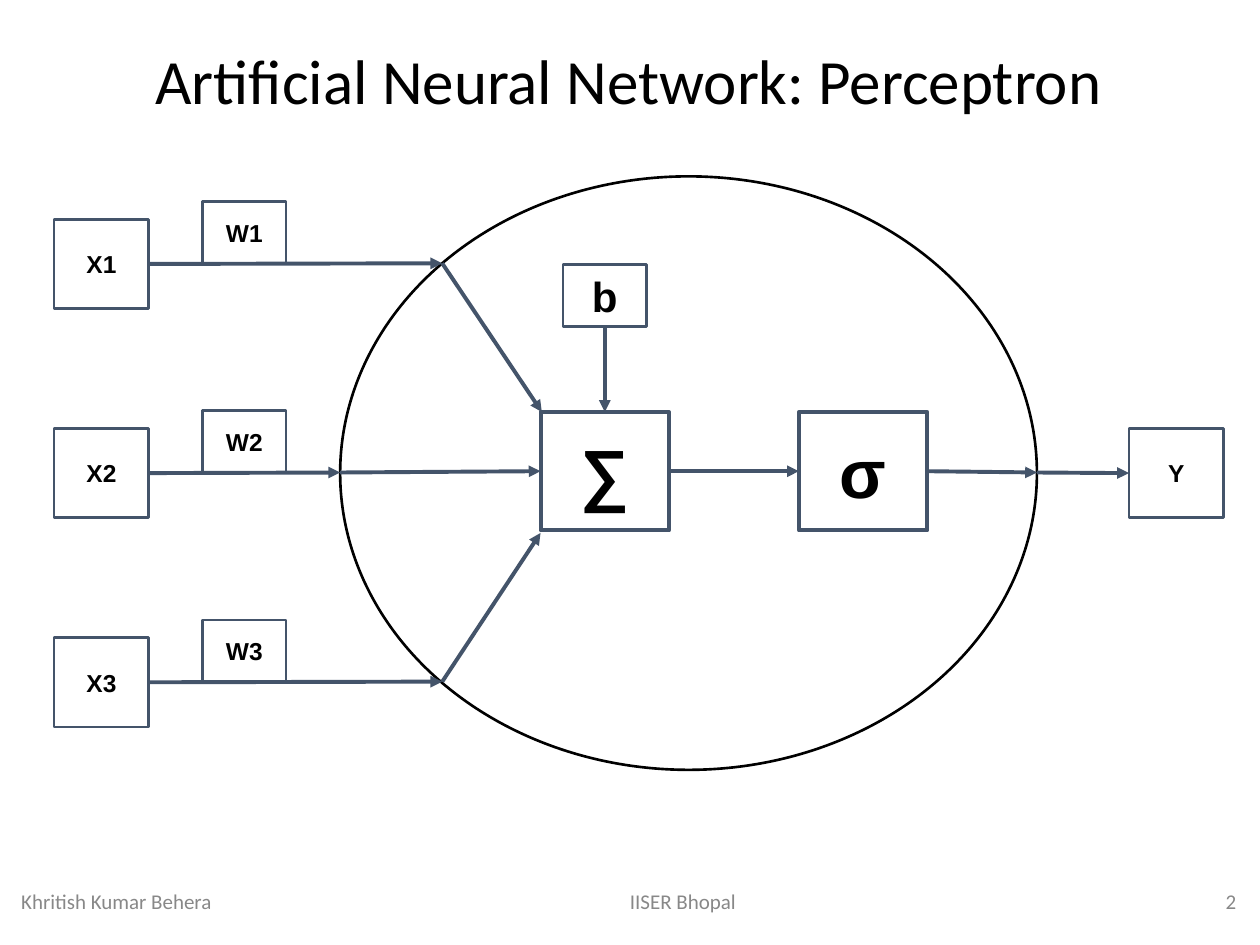
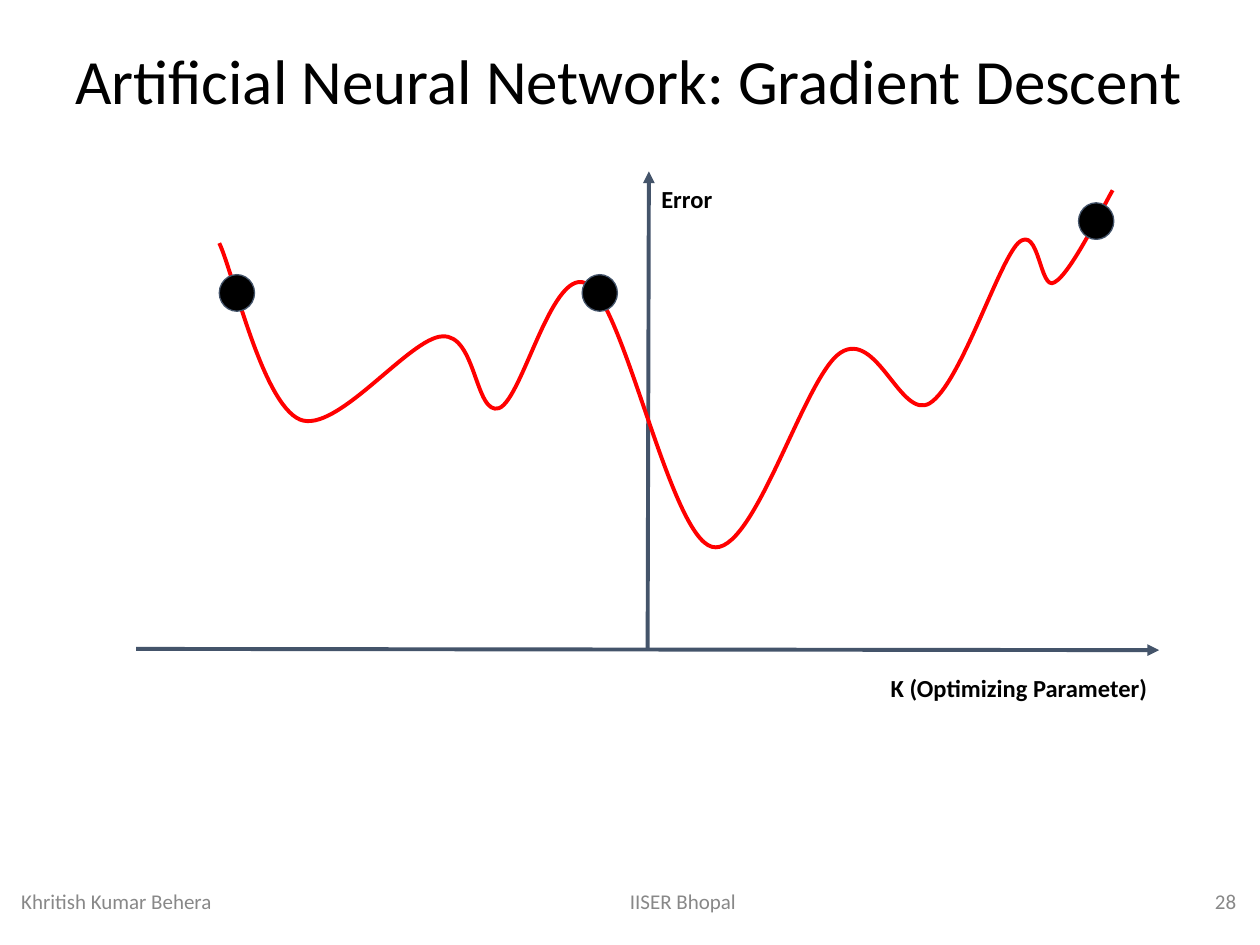
from dataclasses import dataclass

from lxml.etree import SubElement
from pptx import Presentation
from pptx.dml.color import RGBColor
from pptx.enum.shapes import MSO_CONNECTOR, MSO_SHAPE
from pptx.enum.text import MSO_ANCHOR, MSO_AUTO_SIZE, PP_ALIGN
from pptx.oxml.ns import qn
from pptx.util import Inches, Pt


@dataclass(frozen=True)
class Theme:
    black: RGBColor = RGBColor(0x00, 0x00, 0x00)
    white: RGBColor = RGBColor(0xFF, 0xFF, 0xFF)
    slate: RGBColor = RGBColor(0x44, 0x54, 0x6A)
    gray: RGBColor = RGBColor(0x88, 0x88, 0x88)
    red: RGBColor = RGBColor(0xFF, 0x00, 0x00)
    slide_font: str = "Calibri"
    diagram_font: str = "Arial"
    title_size: int = 36
    symbol_size: int = 39
    bias_size: int = 24
    label_size: int = 14
    footer_size: int = 12
    hairline: float = 0.75
    thin: float = 1.5
    thick: float = 2.25


theme = Theme()


def write_text(shape, text, size, font=theme.slide_font, color=theme.black, bold=False,
               align=PP_ALIGN.CENTER, anchor=MSO_ANCHOR.MIDDLE, margin=0.1, wrap=True):
    frame = shape.text_frame
    frame.auto_size = MSO_AUTO_SIZE.NONE
    frame.word_wrap = wrap
    frame.vertical_anchor = anchor
    frame.margin_left = frame.margin_right = Inches(0.1)
    frame.margin_top = frame.margin_bottom = Inches(margin)
    paragraph = frame.paragraphs[0]
    paragraph.alignment = align
    run = paragraph.add_run()
    run.text = text
    run.font.name = font
    run.font.size = Pt(size)
    run.font.bold = bold
    run.font.color.rgb = color


def draw_arrow(slide, start, end):
    """Each end is an (x, y) point in inches or a (shape, side) joint."""
    points = [end_point if isinstance(end_point[0], (int, float)) else (0, 0)
              for end_point in (start, end)]
    connector = slide.shapes.add_connector(
        MSO_CONNECTOR.STRAIGHT, *[Inches(value) for point in points for value in point])
    if points[0] != start:
        connector.begin_connect(*start)
    if points[1] != end:
        connector.end_connect(*end)
    connector.line.color.rgb = theme.slate
    connector.line.width = Pt(theme.thick)
    SubElement(connector.line._get_or_add_ln(), qn("a:tailEnd"), type="triangle")
    SubElement(connector._element.spPr, qn("a:effectLst"))


presentation = Presentation()
presentation.slide_width = Inches(10)
presentation.slide_height = Inches(7.5)

# Titles and footers shared by both slides
slides = []
for topic, number in (("Perceptron", "2"), ("Gradient Descent", "28")):
    slide = presentation.slides.add_slide(presentation.slide_layouts[5])
    slides.append(slide)
    title = slide.shapes.title
    title.left, title.top, title.width, title.height = map(Inches, (0.07, 0.28, 9.84, 0.71))
    write_text(title, f"Artificial Neural Network: {topic}", theme.title_size,
               anchor=MSO_ANCHOR.TOP, margin=0.05)
    for text, left, width, align in (
        ("Khritish Kumar Behera", 0.07, 3.38, PP_ALIGN.LEFT),
        ("IISER Bhopal", 3.73, 3.38, PP_ALIGN.CENTER),
        (number, 7.66, 2.25, PP_ALIGN.RIGHT),
    ):
        footer = slide.shapes.add_textbox(
            Inches(left), Inches(6.95), Inches(width), Inches(0.4))
        write_text(footer, text, theme.footer_size, color=theme.gray, align=align, margin=0.05)
perceptron_slide, descent_slide = slides

# Perceptron: neuron body
neuron = perceptron_slide.shapes.add_shape(
    MSO_SHAPE.OVAL, Inches(2.7), Inches(1.4), Inches(5.53), Inches(4.71))
neuron.shadow.inherit = False
neuron.fill.solid()
neuron.fill.fore_color.rgb = theme.white
neuron.line.color.rgb = theme.black
neuron.line.width = Pt(theme.thin)

# Perceptron: boxes, as left, top, width, height, text size, line width
row_centers = [2.09 + 1.66 * row for row in range(3)]
terminal = (0.75, 0.71, theme.label_size, theme.thin)
operator = (1.02, 0.94, theme.symbol_size, theme.thick)
box_layout = {
    "∑": (4.29, 3.27, *operator),
    "σ": (6.34, 3.27, *operator),
    "b": (4.47, 2.1, 0.66, 0.49, theme.bias_size, theme.thin),
    "Y": (8.96, 3.4, *terminal),
}
for row, center in enumerate(row_centers, start=1):
    box_layout[f"X{row}"] = (0.43, center - 0.35, *terminal)
    box_layout[f"W{row}"] = (1.61, center - 0.49, 0.66, 0.49, theme.label_size, theme.thin)

boxes = {}
for text, (left, top, width, height, size, line_width) in box_layout.items():
    box = perceptron_slide.shapes.add_shape(
        MSO_SHAPE.RECTANGLE, Inches(left), Inches(top), Inches(width), Inches(height))
    box.shadow.inherit = False
    box.fill.background()
    box.line.color.rgb = theme.slate
    box.line.width = Pt(line_width)
    write_text(box, text, size, font=theme.diagram_font, bold=True)
    boxes[text] = box

# Perceptron: signal flow through the neuron's edge to the output
TOP, LEFT, BOTTOM, RIGHT = range(4)
entries = list(zip((3.51, 2.7, 3.51), row_centers))
sum_targets = [(4.3, 3.27), (boxes["∑"], LEFT), (4.29, 4.23)]
for row, (entry, target) in enumerate(zip(entries, sum_targets), start=1):
    draw_arrow(perceptron_slide, (boxes[f"X{row}"], RIGHT), entry)
    draw_arrow(perceptron_slide, entry, target)
neuron_exit = (8.23, 3.75)
for start, end in (
    ((boxes["b"], BOTTOM), (boxes["∑"], TOP)),
    ((boxes["∑"], RIGHT), (boxes["σ"], LEFT)),
    ((boxes["σ"], RIGHT), neuron_exit),
    (neuron_exit, (boxes["Y"], LEFT)),
):
    draw_arrow(perceptron_slide, start, end)

# Gradient descent: axes and their labels
draw_arrow(descent_slide, (1.08, 5.15), (9.2, 5.16))
draw_arrow(descent_slide, (5.14, 5.15), (5.15, 1.36))
for text, left, top, width in (
    ("Error", 5.15, 1.36, 0.65),
    ("K (Optimizing Parameter)", 6.97, 5.24, 2.25),
):
    label = descent_slide.shapes.add_textbox(
        Inches(left), Inches(top), Inches(width), Inches(0.44))
    write_text(label, text, theme.label_size, bold=True, align=PP_ALIGN.LEFT,
               anchor=MSO_ANCHOR.TOP, wrap=False)

# Gradient descent: error curve, two control points and an end point per segment
curve_start = (1.74, 1.93)
curve_segments = [
    ((1.85, 2.16), (2.08, 3.2), (2.38, 3.33)),
    ((2.67, 3.45), (3.25, 2.68), (3.51, 2.67)),
    ((3.78, 2.65), (3.77, 3.3), (3.96, 3.24)),
    ((4.15, 3.17), (4.39, 2.07), (4.67, 2.26)),
    ((4.96, 2.44), (5.32, 4.25), (5.65, 4.34)),
    ((5.98, 4.43), (6.38, 2.99), (6.67, 2.8)),
    ((6.96, 2.61), (7.15, 3.34), (7.38, 3.2)),
    ((7.62, 3.05), (7.92, 2.09), (8.08, 1.93)),
    ((8.25, 1.77), (8.25, 2.32), (8.37, 2.24)),
    ((8.5, 2.17), (8.76, 1.63), (8.83, 1.51)),
]
builder = descent_slide.shapes.build_freeform(*map(Inches, curve_start))
builder.add_line_segments(
    [(Inches(x), Inches(y)) for segment in curve_segments for x, y in segment], close=False)
curve = builder.convert_to_shape()
curve.shadow.inherit = False
curve.fill.background()
curve.line.color.rgb = theme.red
curve.line.width = Pt(theme.thick)

# Turn every three straight steps into one Bézier segment
steps = list(curve._element.iter(qn("a:lnTo")))
for first in range(0, len(steps), 3):
    bezier = SubElement(steps[first].getparent(), qn("a:cubicBezTo"))
    for step in steps[first:first + 3]:
        bezier.append(step[0])
        step.getparent().remove(step)

# Gradient descent: starting points on the curve
for left, top in ((1.74, 2.18), (4.62, 2.18), (8.56, 1.61)):
    ball = descent_slide.shapes.add_shape(
        MSO_SHAPE.OVAL, Inches(left), Inches(top), Inches(0.28), Inches(0.29))
    ball.shadow.inherit = False
    ball.fill.solid()
    ball.fill.fore_color.rgb = theme.black
    ball.line.color.rgb = theme.slate
    ball.line.width = Pt(theme.hairline)

presentation.save("out.pptx")
